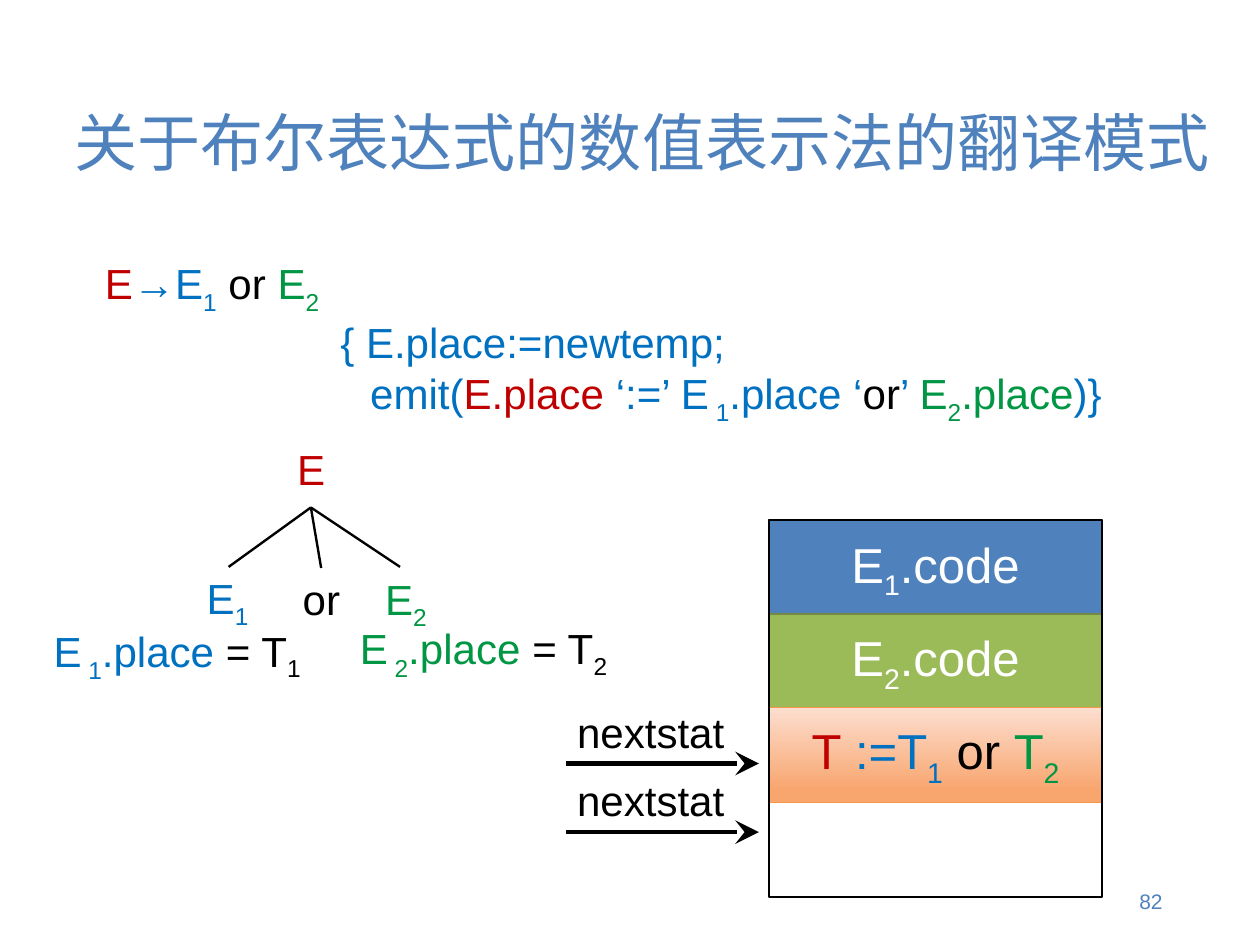
from dataclasses import dataclass

from lxml.etree import SubElement
from pptx import Presentation
from pptx.dml.color import RGBColor
from pptx.enum.shapes import MSO_CONNECTOR, MSO_SHAPE
from pptx.enum.text import MSO_ANCHOR, MSO_AUTO_SIZE, PP_ALIGN
from pptx.oxml.ns import qn
from pptx.util import Inches, Pt

RED, BLUE, GREEN = "C00000", "0070C0", "009644"
BLACK, WHITE, ACCENT = "000000", "FFFFFF", "4F81BD"
BODY_SIZE, CODE_SIZE = 26.5, 30.9
SLIDE_WIDTH, SLIDE_HEIGHT = 28 / 2.54, 21 / 2.54


@dataclass
class Piece:
    text: str
    color: str = BLACK
    baseline: int = 0


@dataclass
class Label:
    left: float
    top: float
    width: float
    pieces: list[Piece]


@dataclass
class CodeBlock:
    fill: list[str]
    line: str
    line_width: float
    pieces: list[Piece]


@dataclass
class Line:
    start: tuple[float, float]
    end: tuple[float, float]
    width: float = 1.5
    arrow: bool = False


def rgb(color: str) -> RGBColor:
    return RGBColor.from_string(color)


def add_pieces(paragraph, pieces: list[Piece], size: float, font: str = "Arial") -> None:
    for piece in pieces:
        run = paragraph.add_run()
        run.text = piece.text
        run.font.size = Pt(size)
        run.font.name = font
        run.font.color.rgb = rgb(piece.color)
        properties = run.font._element
        SubElement(properties, qn("a:ea")).set("typeface", font)
        if piece.baseline:
            properties.set("baseline", str(piece.baseline * 1000))


def add_label(slide, label: Label) -> None:
    box = slide.shapes.add_textbox(
        Inches(label.left), Inches(label.top), Inches(label.width), Inches(0.55))
    box.text_frame.word_wrap = False
    box.text_frame.auto_size = MSO_AUTO_SIZE.SHAPE_TO_FIT_TEXT
    add_pieces(box.text_frame.paragraphs[0], label.pieces, BODY_SIZE)


def add_rectangle(slide, top: float, height: float, line: str, line_width: float):
    shape = slide.shapes.add_shape(
        MSO_SHAPE.RECTANGLE, Inches(6.73), Inches(top), Inches(2.91), Inches(height))
    shape.shadow.inherit = False
    shape.line.color.rgb = rgb(line)
    shape.line.width = Pt(line_width)
    return shape


def add_code_block(slide, block: CodeBlock, top: float) -> None:
    shape = add_rectangle(slide, top, 0.83, block.line, block.line_width)
    if len(block.fill) == 1:
        shape.fill.solid()
        shape.fill.fore_color.rgb = rgb(block.fill[0])
    else:
        shape.fill.gradient()
        shape.fill.gradient_angle = 270
        for stop, color, position in zip(shape.fill.gradient_stops, block.fill, (0, 0.88)):
            stop.color.rgb = rgb(color)
            stop.position = position
    frame = shape.text_frame
    frame.word_wrap = False
    frame.vertical_anchor = MSO_ANCHOR.MIDDLE
    frame.paragraphs[0].alignment = PP_ALIGN.CENTER
    add_pieces(frame.paragraphs[0], block.pieces, CODE_SIZE)


def add_line(slide, line: Line) -> None:
    connector = slide.shapes.add_connector(
        MSO_CONNECTOR.STRAIGHT, *(Inches(value) for value in line.start + line.end))
    connector.line.color.rgb = rgb(BLACK)
    connector.line.width = Pt(line.width)
    if line.arrow:
        head = SubElement(connector.line._get_or_add_ln(), qn("a:tailEnd"))
        for name, value in (("type", "stealth"), ("w", "lg"), ("len", "lg")):
            head.set(name, value)
    SubElement(connector._element.spPr, qn("a:effectLst"))


def add_title(slide) -> None:
    title = slide.shapes.title
    title.left, title.top = Inches(0.43), Inches(0.44)
    title.width, title.height = Inches(10.6), Inches(1.6)
    frame = title.text_frame
    frame.word_wrap = True
    frame.auto_size = MSO_AUTO_SIZE.NONE
    frame.vertical_anchor = MSO_ANCHOR.MIDDLE
    frame.paragraphs[0].alignment = PP_ALIGN.LEFT
    add_pieces(frame.paragraphs[0], [Piece(" 关于布尔表达式的数值表示法的翻译模式", ACCENT)],
               39.7, "Noto Sans CJK SC")


def add_rule(slide, rows: list[tuple[float, list[Piece]]]) -> None:
    box = slide.shapes.add_textbox(Inches(0.82), Inches(2.2), Inches(9.36), Inches(1.6))
    frame = box.text_frame
    frame.word_wrap = True
    for index, (indent, pieces) in enumerate(rows):
        paragraph = frame.add_paragraph() if index else frame.paragraphs[0]
        paragraph._p.get_or_add_pPr().set("marL", str(Inches(indent)))
        add_pieces(paragraph, pieces, BODY_SIZE)


def add_slide_number(slide) -> None:
    box = slide.shapes.add_textbox(Inches(7.79), Inches(7.66), Inches(2.48), Inches(0.44))
    frame = box.text_frame
    frame.word_wrap = True
    frame.vertical_anchor = MSO_ANCHOR.MIDDLE
    frame.paragraphs[0].alignment = PP_ALIGN.RIGHT
    add_pieces(frame.paragraphs[0], [Piece("82", ACCENT)], 13.2)


def indexed(letter: str, index: str, color: str, drop: int = -25) -> list[Piece]:
    return [Piece(letter, color), Piece(index, color, drop)]


def place(index: str, color: str) -> list[Piece]:
    return [*indexed("E", f" {index}", color, -30), Piece(".place ", color),
            *indexed("= T", index, BLACK)]


def code(index: str) -> list[Piece]:
    return [*indexed("E", index, WHITE), Piece(".code", WHITE)]


RULE = [
    (0, [Piece("E", RED), *indexed("→E", "1", BLUE, -30), Piece(" or "),
         *indexed("E", "2", GREEN, -30)]),
    (2.06, [Piece("{ E.place:=newtemp;", BLUE)]),
    (2.32, [Piece("emit(", BLUE), Piece("E.place", RED),
            *indexed(" ‘:=’ E", " 1", BLUE, -30), Piece(".place ‘", BLUE),
            Piece("or"), Piece("’ ", BLUE), *indexed("E", "2", GREEN, -30),
            Piece(".place", GREEN), Piece(")}", BLUE)]),
]
CODE_BLOCKS = [
    CodeBlock([ACCENT], "3A5F8C", 1.5, code("1")),
    CodeBlock(["9BBB59"], "738A42", 1.5, code("2")),
    CodeBlock(["FCDECF", "F8A56E"], "F79646", 1,
              [Piece("T", RED), *indexed(" :=T", "1", BLUE, -30), Piece(" or "),
               *indexed("T", "2", GREEN, -30)]),
]
TREE_LABELS = [
    Label(2.5, 3.83, 0.45, [Piece("E", RED)]),
    Label(1.71, 4.96, 0.59, indexed("E", "1", BLUE)),
    Label(2.55, 4.97, 0.53, [Piece("or")]),
    Label(3.27, 4.97, 0.59, indexed("E", "2", GREEN)),
    Label(0.37, 5.42, 2.43, place("1", BLUE)),
    Label(3.05, 5.4, 2.43, place("2", GREEN)),
]
TREE_ROOT = (2.72, 4.44)
TREE_LEAVES = [(2, 4.96), (2.81, 4.97), (3.5, 4.96)]
NEXTSTAT_LEVELS = [6.68, 7.28]


def main() -> None:
    presentation = Presentation()
    presentation.slide_width = Inches(SLIDE_WIDTH)
    presentation.slide_height = Inches(SLIDE_HEIGHT)
    slide = presentation.slides.add_slide(presentation.slide_layouts[5])
    add_title(slide)
    add_rule(slide, RULE)
    for row, block in enumerate(CODE_BLOCKS):
        add_code_block(slide, block, 4.55 + 0.82 * row)
    add_rectangle(slide, 4.55, 3.3, BLACK, 1.5).fill.background()
    for label in TREE_LABELS:
        add_label(slide, label)
    for leaf in TREE_LEAVES:
        add_line(slide, Line(TREE_ROOT, leaf))
    for level in NEXTSTAT_LEVELS:
        add_line(slide, Line((4.95, level), (6.64, level), 3, True))
        add_label(slide, Label(4.95, level - 0.55, 1.51, [Piece("nextstat")]))
    add_slide_number(slide)
    presentation.save("out.pptx")


if __name__ == "__main__":
    main()
